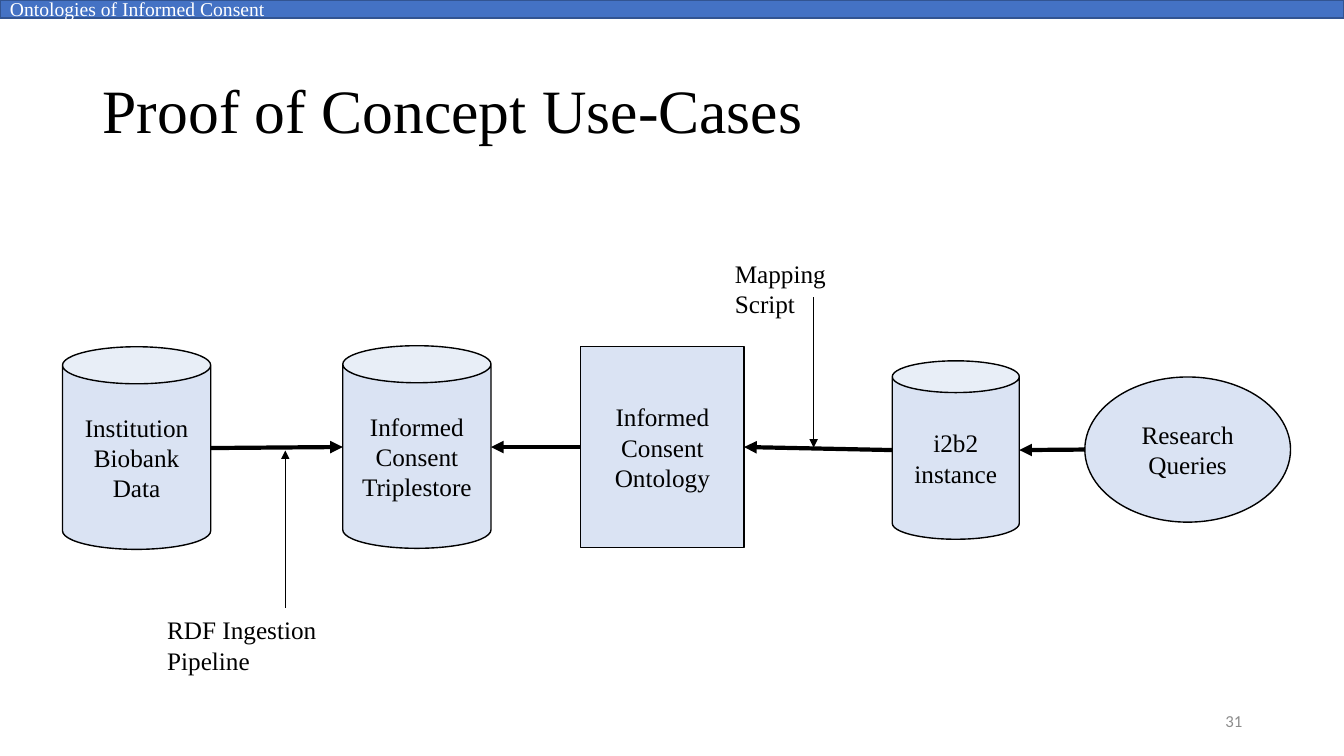
from dataclasses import dataclass
from lxml import etree
from pptx import Presentation
from pptx import util as u
from pptx.dml.color import RGBColor
from pptx.enum import shapes, text
from pptx.oxml.ns import qn

KIND, ALIGN, ANCHOR = shapes.MSO_SHAPE, text.PP_ALIGN, text.MSO_ANCHOR
W, H = 13.33, 7.5

HEADER = "Ontologies of Informed Consent"
TITLE = "Proof of Concept Use-Cases"
PAGE = "31"
# name: (shape, text, (left, top, width, height))
NODES = {
    "biobank": (KIND.CAN, "Institution\nBiobank Data", (0.62, 3.44, 1.47, 2.01)),
    "triplestore": (KIND.CAN, "Informed Consent Triplestore", (3.4, 3.43, 1.47, 2.01)),
    "ontology": (KIND.RECTANGLE, "Informed Consent Ontology", (5.76, 3.44, 1.62, 1.99)),
    "i2b2": (KIND.CAN, "i2b2 instance", (8.85, 3.58, 1.26, 1.77)),
    "queries": (KIND.OVAL, "Research Queries", (10.76, 3.74, 2.04, 1.44)),
}
FLOWS = [("biobank", "triplestore"), ("ontology", "triplestore"),
         ("i2b2", "ontology"), ("queries", "i2b2")]
# text, box, right inset, pointer start, pointer end
NOTES = [
    ("Mapping Script", (7.19, 2.51, 1.76, 0.4), 0.6, (8.07, 2.95), (8.07, 4.44)),
    ("RDF Ingestion Pipeline", (1.56, 6.05, 2.52, 0.4), 0.8, (2.83, 6.03), (2.83, 4.47)),
]


@dataclass(frozen=True)
class Theme:
    serif: str = "Times New Roman"
    sans: str = "Calibri"
    ink: str = "000000"
    paper: str = "FFFFFF"
    grey: str = "8C8C8C"
    node: str = "DAE3F3"
    bar: str = "4472C4"
    bar_edge: str = "325491"
    title: int = 44
    body: int = 18
    header: int = 14
    page: int = 12


T = Theme()
prs = Presentation()
prs.slide_width, prs.slide_height = u.Inches(W), u.Inches(H)
s = prs.slides.add_slide(prs.slide_layouts[6])


def rgb(value):
    return RGBColor.from_string(value)


def write(sp, words, size=T.body, color=T.ink, font=T.serif,
          align=ALIGN.LEFT, anchor=ANCHOR.MIDDLE):
    tf = sp.text_frame
    tf.text = words
    tf.word_wrap = True
    tf.vertical_anchor = anchor
    for p in tf.paragraphs:
        p.alignment = align
        for r in p.runs:
            r.font.name, r.font.size = font, u.Pt(size)
            r.font.color.rgb = rgb(color)
    return tf


def add_label(box, words, **style):
    return write(s.shapes.add_textbox(*map(u.Inches, box)), words, **style)


def add_block(kind, box, words, fill, edge, **style):
    sp = s.shapes.add_shape(kind, *map(u.Inches, box))
    sp.shadow.inherit = False
    sp.fill.solid()
    sp.fill.fore_color.rgb = rgb(fill)
    sp.line.color.rgb = rgb(edge)
    sp.line.width = u.Pt(1)
    write(sp, words, **style)


def add_arrow(start, end, weight):
    line = s.shapes.add_connector(shapes.MSO_CONNECTOR.STRAIGHT,
                                  *map(u.Inches, (*start, *end)))
    line.line.color.rgb = rgb(T.ink)
    line.line.width = u.Pt(weight)
    etree.SubElement(line.line._get_or_add_ln(), qn("a:tailEnd"), type="triangle")
    etree.SubElement(line._element.spPr, qn("a:effectLst"))


def side(name, right):
    """Middle of a node's right or left edge."""
    x, y, w, h = NODES[name][2]
    return x + w * right, y + h / 2


title = add_label((0.92, 0.4, 11.5, 1.45), TITLE, size=T.title)
title.paragraphs[0].line_spacing = 0.9
add_block(KIND.RECTANGLE, (0, 0, W, 0.18), HEADER, T.bar, T.bar_edge,
          size=T.header, color=T.paper)

for kind, words, box in NODES.values():
    add_block(kind, box, words, T.node, T.ink, align=ALIGN.CENTER)

for source, target in FLOWS:
    forward = NODES[source][2][0] < NODES[target][2][0]
    add_arrow(side(source, forward), side(target, not forward), 3)

for words, box, inset, start, end in NOTES:
    add_arrow(start, end, 0.5)
    add_label(box, words, anchor=ANCHOR.TOP).margin_right = u.Inches(inset)

add_label((9.42, 6.95, 3, 0.4), PAGE, size=T.page, color=T.grey,
          font=T.sans, align=ALIGN.RIGHT)

prs.save("out.pptx")
